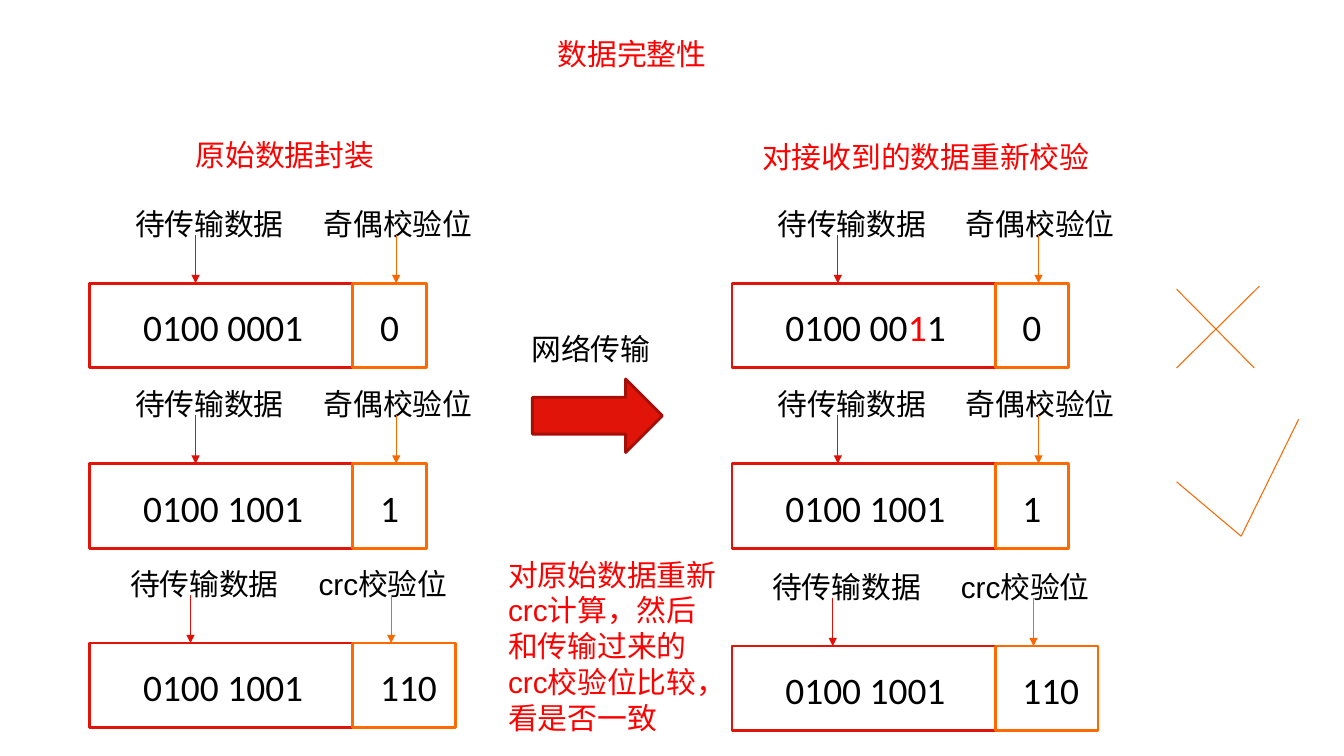
from lxml import etree
from pptx import Presentation
from pptx.dml.color import RGBColor
from pptx.enum.shapes import MSO_CONNECTOR, MSO_SHAPE
from pptx.enum.text import MSO_ANCHOR, MSO_AUTO_SIZE, PP_ALIGN
from pptx.oxml.ns import qn
from pptx.util import Inches, Pt

STRAIGHT = MSO_CONNECTOR.STRAIGHT
RECTANGLE = MSO_SHAPE.RECTANGLE
RIGHT_ARROW = MSO_SHAPE.RIGHT_ARROW
TOP = MSO_ANCHOR.TOP
LEFT = PP_ALIGN.LEFT
NO_FIT = MSO_AUTO_SIZE.NONE

BLACK, WHITE, RED = "000000", "FFFFFF", "FF0000"
DATA_RED, CHECK_ORANGE, DARK_RED = "E1140A", "FF6A00", "A60F07"
ARROW_RED, ARROW_ORANGE = "E10F05", "F96800"
LABEL_SIZE, BITS_SIZE = 21.3, 26.7
BOX_HEIGHT, DATA_WIDTH, CHECK_LEFT = 0.84, 2.62, 2.61


def color(value):
    return RGBColor.from_string(value)


def add_span(para, text, size, font, shade):
    span = para.add_run()
    span.text = text
    span.font.size = Pt(size)
    span.font.name = font
    span.font.color.rgb = color(shade)


def add_text(page, left, top, width, height, spans, size=LABEL_SIZE, font="Arial"):
    """Add a text box without insets; spans are (text, colour) pairs."""
    box = page.shapes.add_textbox(Inches(left), Inches(top), Inches(width), Inches(height))
    frame = box.text_frame
    frame.word_wrap = True
    frame.margin_left = frame.margin_right = frame.margin_top = frame.margin_bottom = 0
    for text, shade in spans:
        add_span(frame.paragraphs[0], text, size, font, shade)


def add_outline(page, kind, left, top, width, height, line, fill=None):
    shape = page.shapes.add_shape(kind, Inches(left), Inches(top), Inches(width), Inches(height))
    shape.shadow.inherit = False
    if fill:
        shape.fill.solid()
        shape.fill.fore_color.rgb = color(fill)
    else:
        shape.fill.background()
    shape.line.color.rgb = color(line)
    shape.line.width = Pt(2)


def add_line(page, start, end, shade, arrow=False):
    line = page.shapes.add_connector(STRAIGHT, *[Inches(length) for length in (*start, *end)])
    line.line.color.rgb = color(shade)
    line.line.width = Pt(0.75)
    if arrow:
        etree.SubElement(line.line._get_or_add_ln(), qn("a:tailEnd"), type="triangle")
    etree.SubElement(line._element.spPr, qn("a:effectLst"))


def add_title(page, left, top, width, height):
    title = page.shapes.title
    title.left, title.top = Inches(left), Inches(top)
    title.width, title.height = Inches(width), Inches(height)
    frame = title.text_frame
    frame.word_wrap = False
    frame.auto_size = NO_FIT
    frame.vertical_anchor = TOP
    para = frame.paragraphs[0]
    para.alignment = LEFT
    add_span(para, "数据完整性", LABEL_SIZE, "Arial", RED)


def add_packet(page, left, top, data, check, check_label, check_width=0.73, label_shift=0):
    """Add data bits and check bits side by side, with labels pointing down at them."""
    add_text(page, left + 0.53, top + 0.21, 2.1, 0.58, data, BITS_SIZE, "Calibri")
    add_outline(page, RECTANGLE, left, top, DATA_WIDTH, BOX_HEIGHT, DATA_RED)
    add_outline(page, RECTANGLE, left + CHECK_LEFT, top, check_width, BOX_HEIGHT,
                CHECK_ORANGE, WHITE)
    add_text(page, left + 2.88, top + 0.21, 0.9, 0.58, [(check, BLACK)], BITS_SIZE, "Calibri")
    label_left = left + label_shift
    for label, label_offset, arrow_offset, shade in (
            ("待传输数据", 0.45, 1.05, ARROW_RED),
            (check_label, 2.32, 3.04, ARROW_ORANGE)):
        add_text(page, label_left + label_offset, top - 0.77, 2.1, 0.58, [(label, BLACK)])
        arrow_x = label_left + arrow_offset
        add_line(page, (arrow_x, top - 0.48), (arrow_x, top), shade, arrow=True)


def add_side(page, left, heading, heading_box, first_data, crc_top):
    """Add a heading over two parity packets and one crc packet."""
    add_text(page, *heading_box, [(heading, RED)])
    same_data = [("0100 1001", BLACK)]
    add_packet(page, left, 2.81, first_data, "0", "奇偶校验位")
    add_packet(page, left, 4.6, same_data, "1", "奇偶校验位")
    add_packet(page, left, crc_top, same_data, "110", "crc校验位", 1.02, -0.05)


def add_transmission(page, left, top):
    add_text(page, left, top, 2.1, 0.58, [("网络传输", BLACK)])
    add_outline(page, RIGHT_ARROW, left + 0.01, top + 0.48, 1.29, 0.73, DARK_RED, DATA_RED)
    add_text(page, left - 0.23, top + 2.24, 2.1, 1.28,
             [("对原始数据重新crc计算，然后和传输过来的crc校验位比较，看是否一致", RED)])


def add_verdicts(page, left, top):
    """Add a cross for the first packet and a tick for the second."""
    strokes = (
        ((0, 0.03), (0.77, 0.81)),
        ((0.82, 0), (0, 0.81)),
        ((0, 1.94), (0.64, 2.48)),
        ((0.64, 2.48), (1.21, 1.32)),
    )
    for start, end in strokes:
        add_line(page, (left + start[0], top + start[1]), (left + end[0], top + end[1]),
                 ARROW_ORANGE)


def main():
    deck = Presentation()
    deck.slide_width, deck.slide_height = Inches(13.33), Inches(7.5)
    page = deck.slides.add_slide(deck.slide_layouts[5])
    add_title(page, 5.43, 0.3, 1.7, 0.46)
    add_side(page, 0.89, "原始数据封装", (1.94, 1.36, 2.1, 0.58),
             [("0100 0001", BLACK)], 6.38)
    add_side(page, 7.26, "对接收到的数据重新校验", (7.56, 1.38, 4.02, 0.58),
             [("0100 00", BLACK), ("1", RED), ("1", BLACK)], 6.41)
    add_transmission(page, 5.27, 3.28)
    add_verdicts(page, 11.67, 2.84)
    deck.save("out.pptx")


if __name__ == "__main__":
    main()
